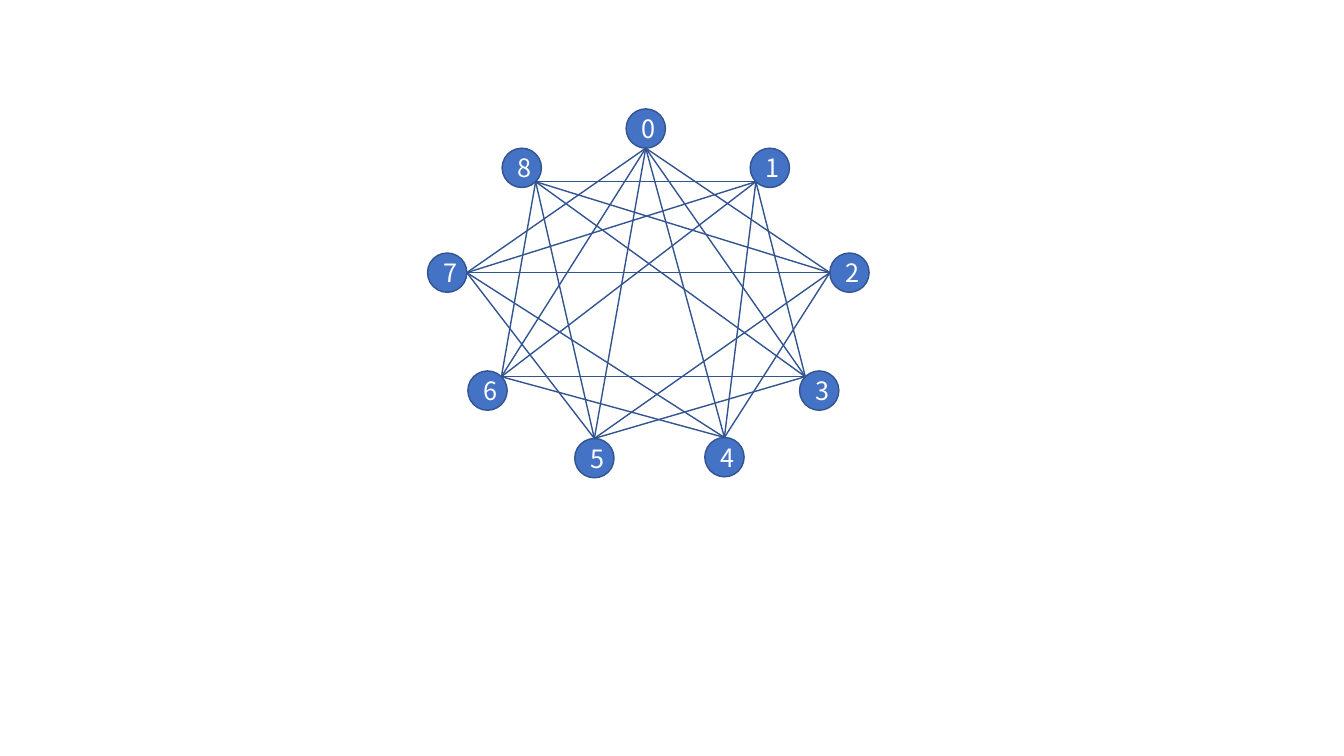
import itertools
import math

import pptx
import pptx.enum.shapes
import pptx.enum.text
import pptx.util
from pptx.dml.color import RGBColor
from pptx.oxml.ns import qn
from lxml import etree

Inches = pptx.util.Inches
COLORS = {"node": "4472C4", "edge": "325491", "label": "FFFFFF"}
FONT = "Noto Sans CJK SC"
DIAMETER = 0.39

# Node label: left, top, and direction (degrees, clockwise from east) of the point where edges meet
NODES = {
    0: (6.21, 1.08, 90),
    1: (7.44, 1.47, 135),
    2: (8.23, 2.51, 180),
    3: (7.93, 3.68, 225),
    4: (6.99, 4.34, 270),
    5: (5.70, 4.35, 270),
    6: (4.64, 3.68, 315),
    7: (4.24, 2.51, 0),
    8: (4.98, 1.47, 45),
}

# Neighbours on the ring are not joined, and four long chords are left out
UNJOINED = {(1, 5), (2, 6), (3, 7), (4, 8)}
EDGES = [
    (a, b) for a, b in itertools.combinations(NODES, 2)
    if b - a not in (1, len(NODES) - 1) and (a, b) not in UNJOINED
]


def color(name):
    return RGBColor.from_string(COLORS[name])


def write(frame, text, size=18, ink="label", align=pptx.enum.text.PP_ALIGN.CENTER):
    frame.vertical_anchor = pptx.enum.text.MSO_ANCHOR.MIDDLE
    paragraph = frame.paragraphs[0]
    paragraph.alignment = align
    run = paragraph.add_run()
    run.text = text
    run.font.name = FONT
    run.font.size = pptx.util.Pt(size)
    run.font.color.rgb = color(ink)


def outline(part):
    part.line.color.rgb = color("edge")
    part.line.width = pptx.util.Pt(1)


def meeting_point(node):
    left, top, degrees = NODES[node]
    radius, angle = DIAMETER / 2, math.radians(degrees)
    return (Inches(left + radius + radius * math.cos(angle)),
            Inches(top + radius + radius * math.sin(angle)))


deck = pptx.Presentation()
deck.slide_width, deck.slide_height = Inches(13.33), Inches(7.5)
slide = deck.slides.add_slide(deck.slide_layouts[6])

# Nodes
for label, (left, top, _) in NODES.items():
    node = slide.shapes.add_shape(
        pptx.enum.shapes.MSO_SHAPE.OVAL,
        Inches(left), Inches(top), Inches(DIAMETER), Inches(DIAMETER))
    node.shadow.inherit = False
    node.fill.solid()
    node.fill.fore_color.rgb = color("node")
    outline(node)
    write(node.text_frame, str(label))

# Edges
for a, b in EDGES:
    edge = slide.shapes.add_connector(
        pptx.enum.shapes.MSO_CONNECTOR.STRAIGHT, *meeting_point(a), *meeting_point(b))
    outline(edge)
    etree.SubElement(edge._element.spPr, qn("a:effectLst"))

deck.save("out.pptx")
